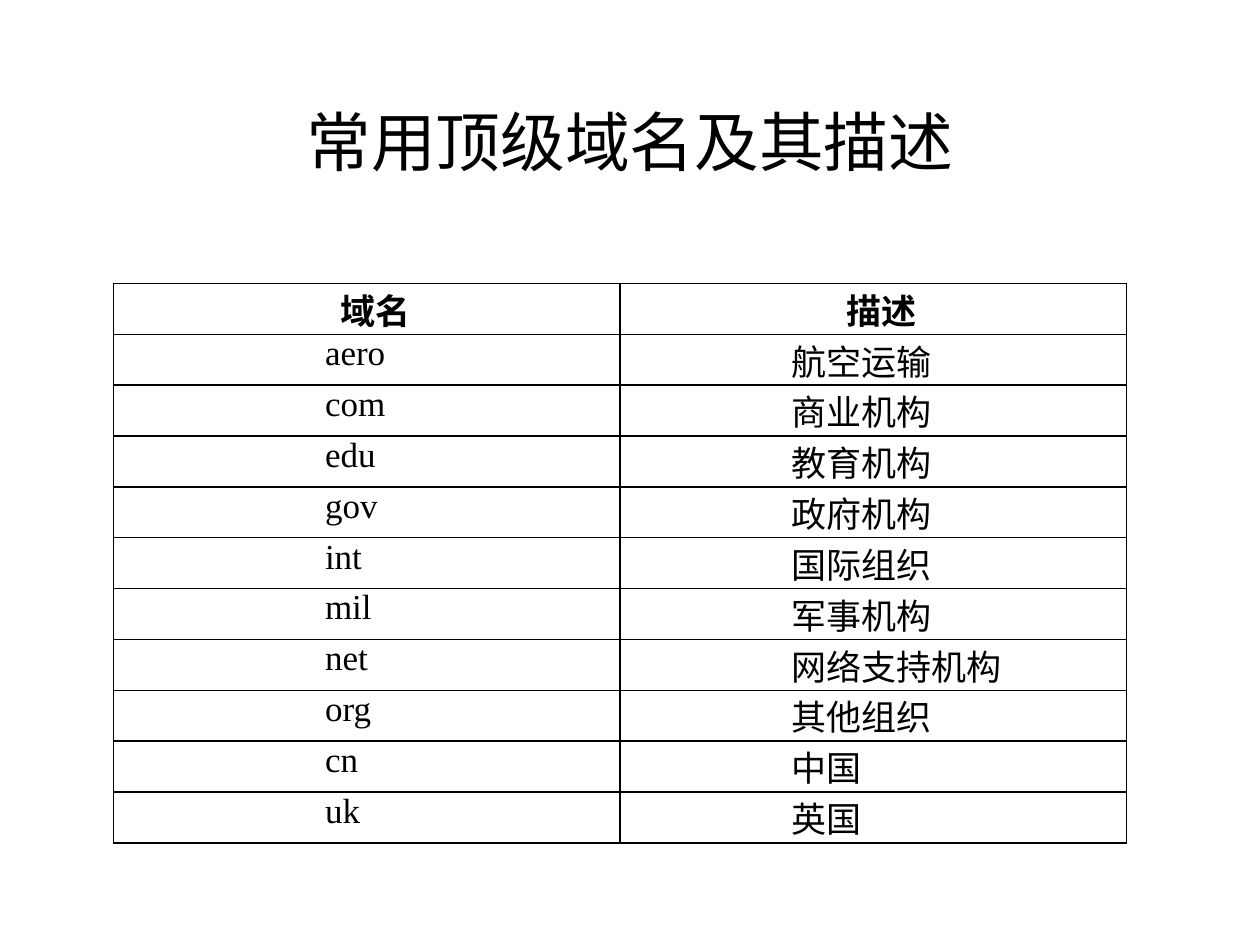
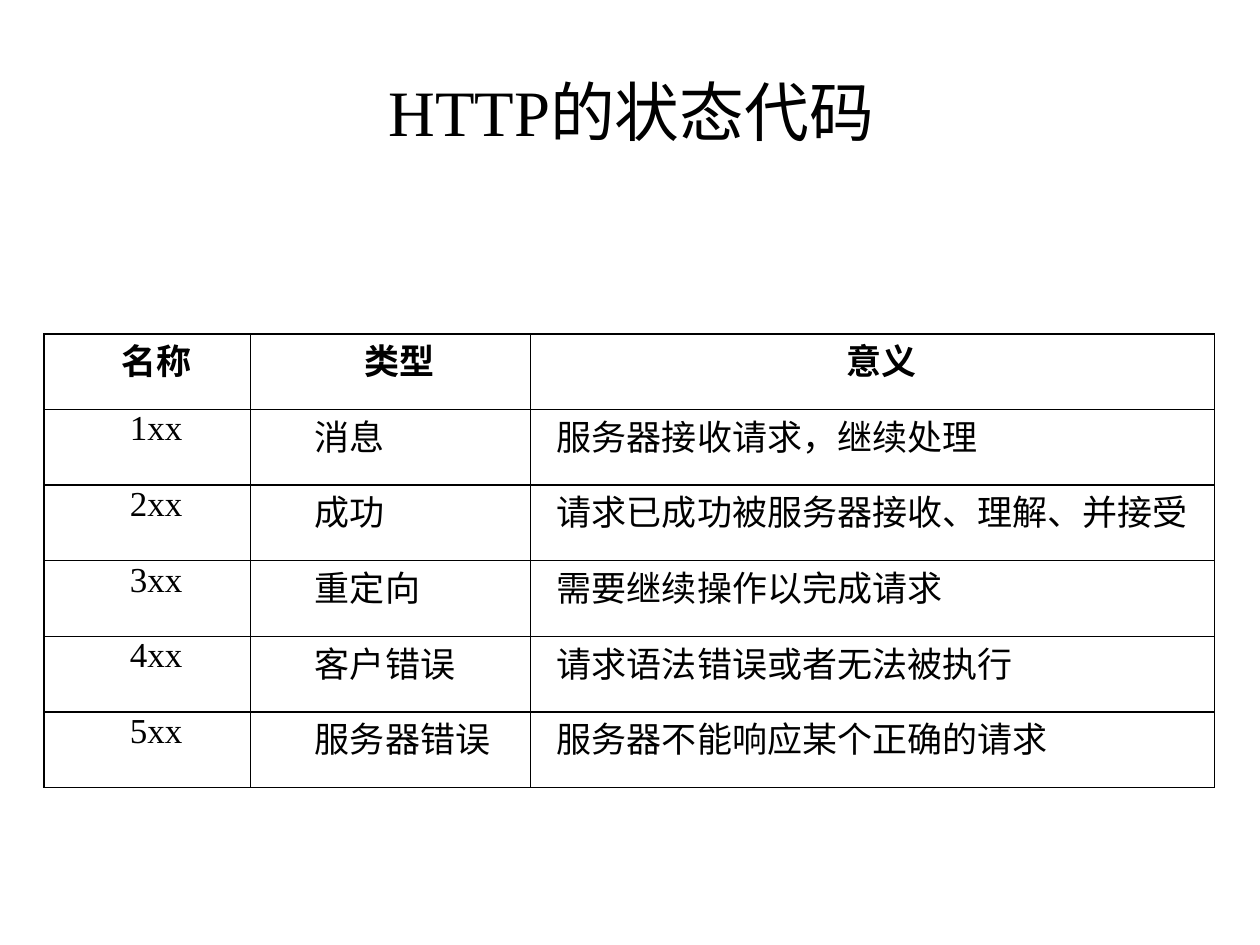
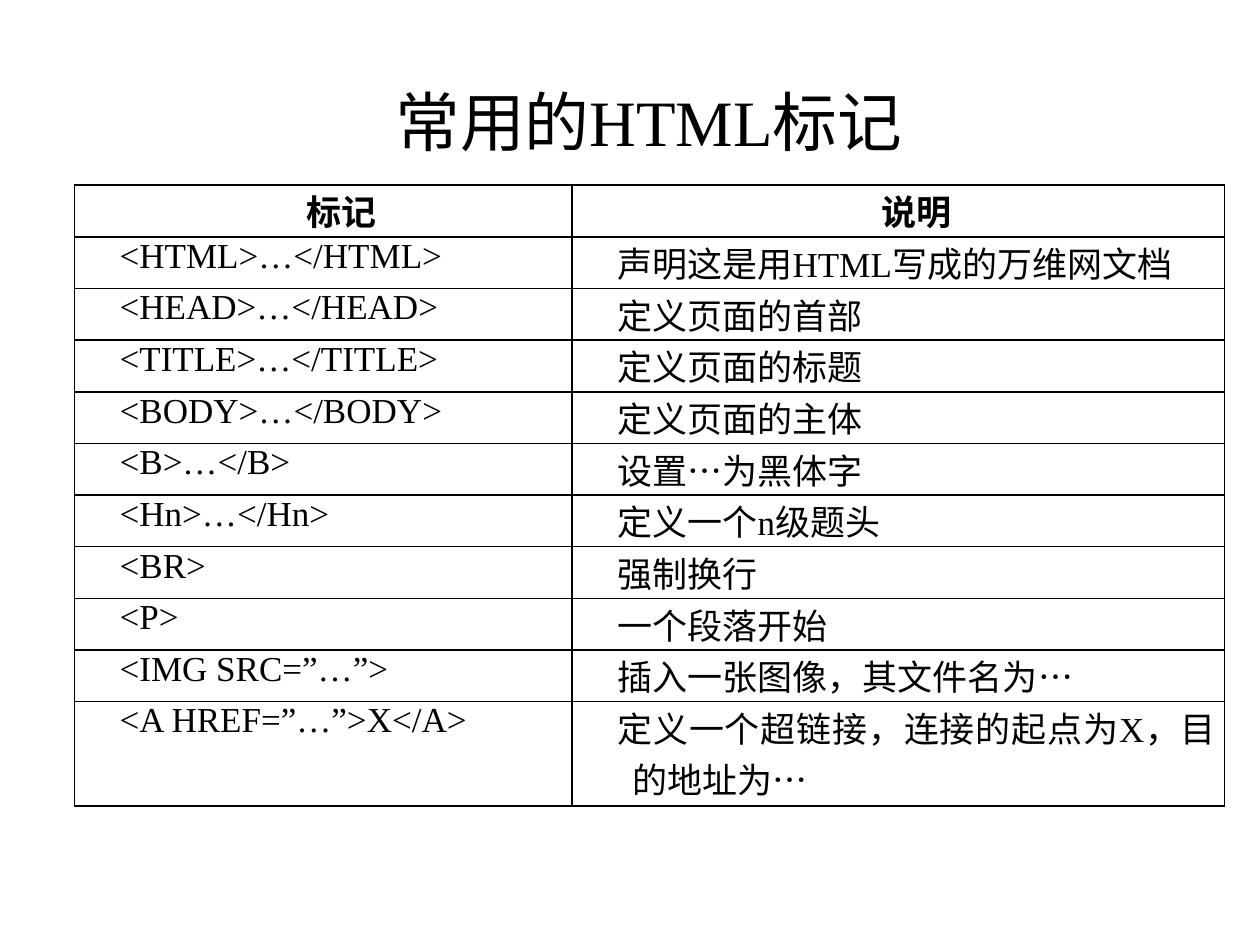
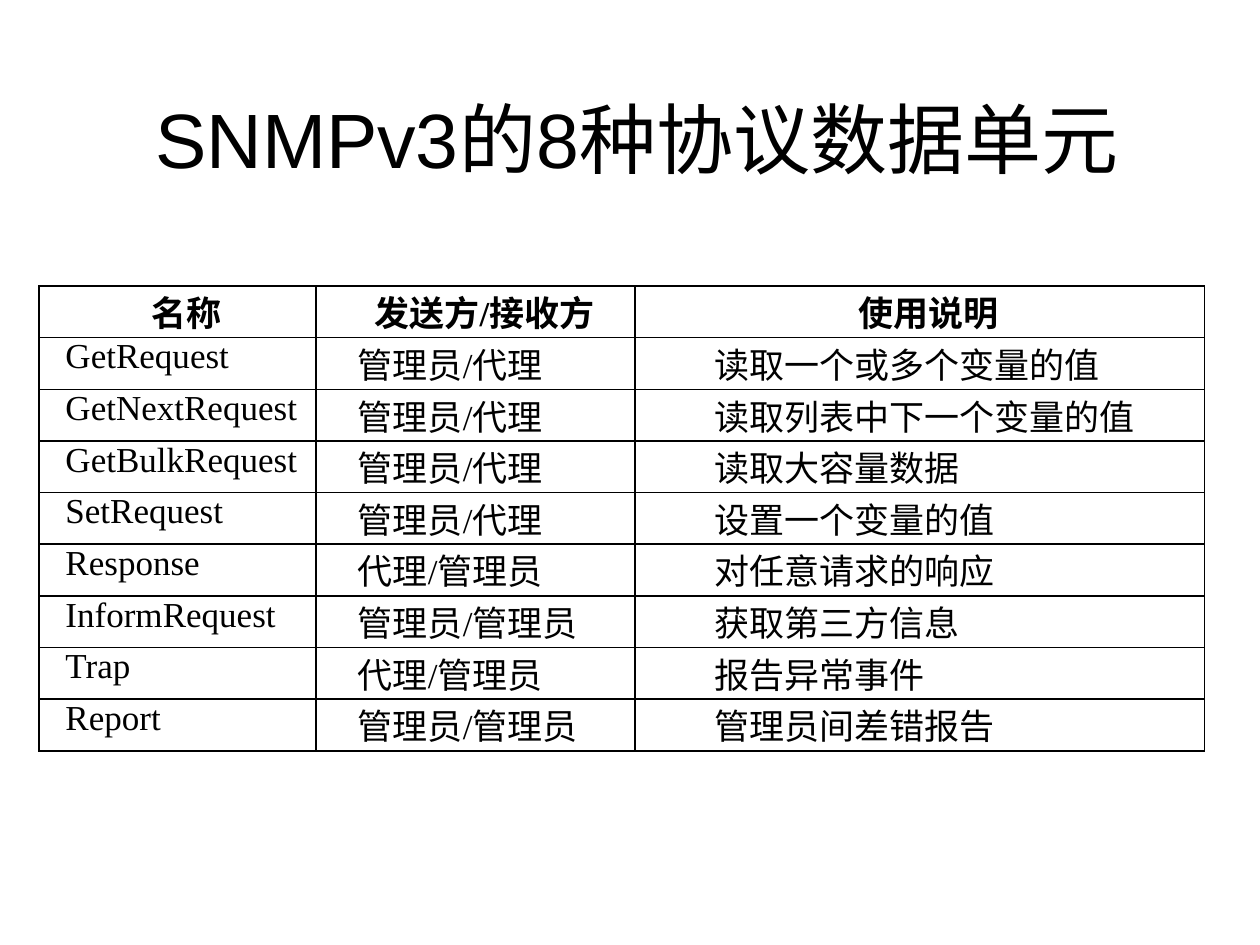
from collections import namedtuple

import lxml.etree
import pptx
import pptx.dml.color
import pptx.enum.text
import pptx.oxml.ns
import pptx.util

Inches = pptx.util.Inches
Pt = pptx.util.Pt
ALIGN = pptx.enum.text.PP_ALIGN
ANCHOR = pptx.enum.text.MSO_ANCHOR

BLACK = pptx.dml.color.RGBColor(0x00, 0x00, 0x00)
WHITE = pptx.dml.color.RGBColor(0xFF, 0xFF, 0xFF)
SERIF = "Times New Roman"
SANS = "Arial"
TITLE_ONLY = 5
CELL_MARGIN = 0.07
INDENT = 0.14

# margin and indent are the paragraph's left margin and first-line indent
Column = namedtuple("Column", "width indent margin align", defaults=(0, ALIGN.JUSTIFY))

DOMAINS = [
    ("域名", "描述"),
    ("aero", "航空运输"),
    ("com", "商业机构"),
    ("edu", "教育机构"),
    ("gov", "政府机构"),
    ("int", "国际组织"),
    ("mil", "军事机构"),
    ("net", "网络支持机构"),
    ("org", "其他组织"),
    ("cn", "中国"),
    ("uk", "英国"),
]
STATUS_CODES = [
    ("名称", "类型", "意义"),
    ("1xx", "消息", "服务器接收请求，继续处理"),
    ("2xx", "成功", "请求已成功被服务器接收、理解、并接受"),
    ("3xx", "重定向", "需要继续操作以完成请求"),
    ("4xx", "客户错误", "请求语法错误或者无法被执行"),
    ("5xx", "服务器错误", "服务器不能响应某个正确的请求"),
]
HTML_TAGS = [
    ("标记", "说明"),
    ("<HTML>…</HTML>", "声明这是用HTML写成的万维网文档"),
    ("<HEAD>…</HEAD>", "定义页面的首部"),
    ("<TITLE>…</TITLE>", "定义页面的标题"),
    ("<BODY>…</BODY>", "定义页面的主体"),
    ("<B>…</B>", "设置…为黑体字"),
    ("<Hn>…</Hn>", "定义一个n级题头"),
    ("<BR>", "强制换行"),
    ("<P>", "一个段落开始"),
    ("<IMG SRC=”…”>", "插入一张图像，其文件名为…"),
    ("<A HREF=”…”>X</A>", "定义一个超链接，连接的起点为X，目的地址为…"),
]
SNMP_UNITS = [
    ("名称", "发送方/接收方", "使用说明"),
    ("GetRequest", "管理员/代理", "读取一个或多个变量的值"),
    ("GetNextRequest", "管理员/代理", "读取列表中下一个变量的值"),
    ("GetBulkRequest", "管理员/代理", "读取大容量数据"),
    ("SetRequest", "管理员/代理", "设置一个变量的值"),
    ("Response", "代理/管理员", "对任意请求的响应"),
    ("InformRequest", "管理员/管理员", "获取第三方信息"),
    ("Trap", "代理/管理员", "报告异常事件"),
    ("Report", "管理员/管理员", "管理员间差错报告"),
]


def write(frame, text, size=20, font=SERIF, bold=False, align=ALIGN.CENTER,
          margin=0, indent=0):
    para = frame.paragraphs[0]
    para.alignment = align
    properties = para._p.get_or_add_pPr()
    properties.set("marL", str(Inches(margin)))
    properties.set("indent", str(Inches(indent)))
    span = para.add_run()
    span.text = text
    span.font.size = Pt(size)
    span.font.name = font
    span.font.bold = bold
    span.font.color.rgb = BLACK


def add_page(deck, title, box, anchor=ANCHOR.TOP, size=37, **text_format):
    """Add a title-only slide with its title in box: left, top, width, height."""
    page = deck.slides.add_slide(deck.slide_layouts[TITLE_ONLY])
    holder = page.shapes.title
    holder.left, holder.top, holder.width, holder.height = map(Inches, box)
    frame = holder.text_frame
    frame.word_wrap = True
    frame.auto_size = pptx.enum.text.MSO_AUTO_SIZE.NONE
    frame.vertical_anchor = anchor
    write(frame, title, size=size, **text_format)
    return page


def add_borders(cell):
    qn = pptx.oxml.ns.qn
    properties = cell._tc.get_or_add_tcPr()
    for side in ("a:lnL", "a:lnR", "a:lnT", "a:lnB"):
        line = lxml.etree.SubElement(properties, qn(side), w=str(Pt(1)))
        fill = lxml.etree.SubElement(line, qn("a:solidFill"))
        lxml.etree.SubElement(fill, qn("a:srgbClr"), val=str(BLACK))


def format_cell(cell, fill):
    cell.margin_left = cell.margin_right = Inches(CELL_MARGIN)
    cell.margin_top = cell.margin_bottom = 0
    cell.vertical_anchor = ANCHOR.TOP
    add_borders(cell)
    if fill is None:
        cell.fill.background()
    else:
        cell.fill.solid()
        cell.fill.fore_color.rgb = fill


def add_grid(page, left, top, rows, columns, row_height, last_height=None, fill=None):
    """Add a ruled table whose first row is a bold, centred header."""
    heights = [row_height] * (len(rows) - 1) + [last_height or row_height]
    width = sum(column.width for column in columns)
    table = page.shapes.add_table(len(rows), len(columns), Inches(left), Inches(top),
                                  Inches(width), Inches(sum(heights))).table
    table.first_row = table.horz_banding = False
    for table_column, column in zip(table.columns, columns):
        table_column.width = Inches(column.width)
    for r, (texts, height) in enumerate(zip(rows, heights)):
        table.rows[r].height = Inches(height)
        is_header = r == 0
        for c, (text, column) in enumerate(zip(texts, columns)):
            cell = table.cell(r, c)
            format_cell(cell, fill)
            # headers share one indent unless the column hangs its text
            indent = INDENT if is_header and not column.margin else column.indent
            write(cell.text_frame, text, bold=is_header, margin=column.margin,
                  indent=indent, align=ALIGN.CENTER if is_header else column.align)


def main():
    deck = pptx.Presentation()
    deck.slide_width, deck.slide_height = Inches(10), Inches(7.5)

    page = add_page(deck, "常用顶级域名及其描述", (0.5, 0.76, 9, 0.55))
    add_grid(page, 0.9, 2.25, DOMAINS, [Column(4.02, 1.61), Column(4.02, 1.29)], 0.36)

    page = add_page(deck, "HTTP的状态代码", (0.51, 0.52, 9, 0.79))
    add_grid(page, 0.35, 2.65, STATUS_CODES,
             [Column(1.64, INDENT, align=ALIGN.CENTER), Column(2.22, 0.44),
              Column(5.43, INDENT)], 0.6)

    page = add_page(deck, "常用的HTML标记", (0.65, 0.6, 9, 0.55))
    add_grid(page, 0.59, 1.47, HTML_TAGS,
             [Column(3.95, -0.12, 0.41), Column(5.18, -0.12, 0.41)],
             0.41, last_height=0.83, fill=WHITE)

    page = add_page(deck, "SNMPv3的8种协议数据单元", (0.47, 0.47, 9, 1.25),
                    anchor=ANCHOR.MIDDLE, size=44, font=SANS, indent=0.17)
    add_grid(page, 0.31, 2.27, SNMP_UNITS,
             [Column(2.2, INDENT), Column(2.53, 0.26), Column(4.52, 0.56)], 0.41)

    deck.save("out.pptx")


if __name__ == "__main__":
    main()
